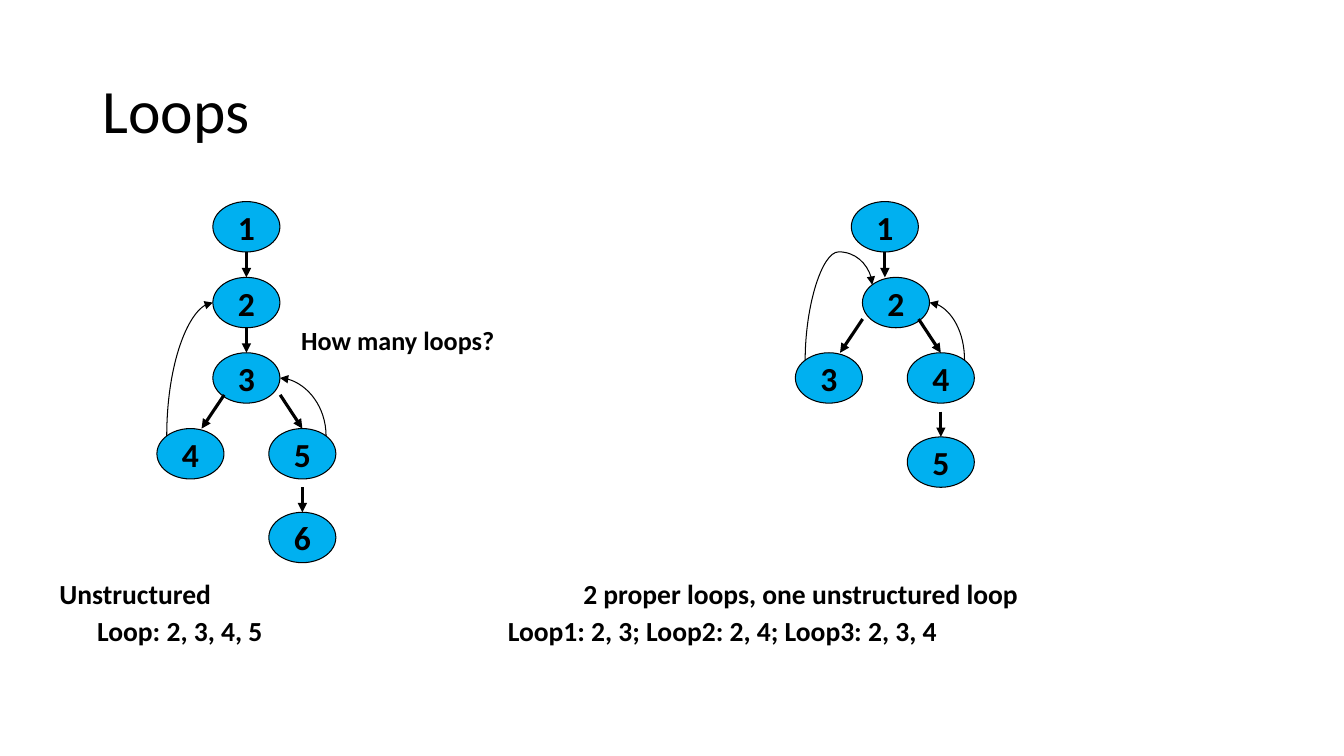
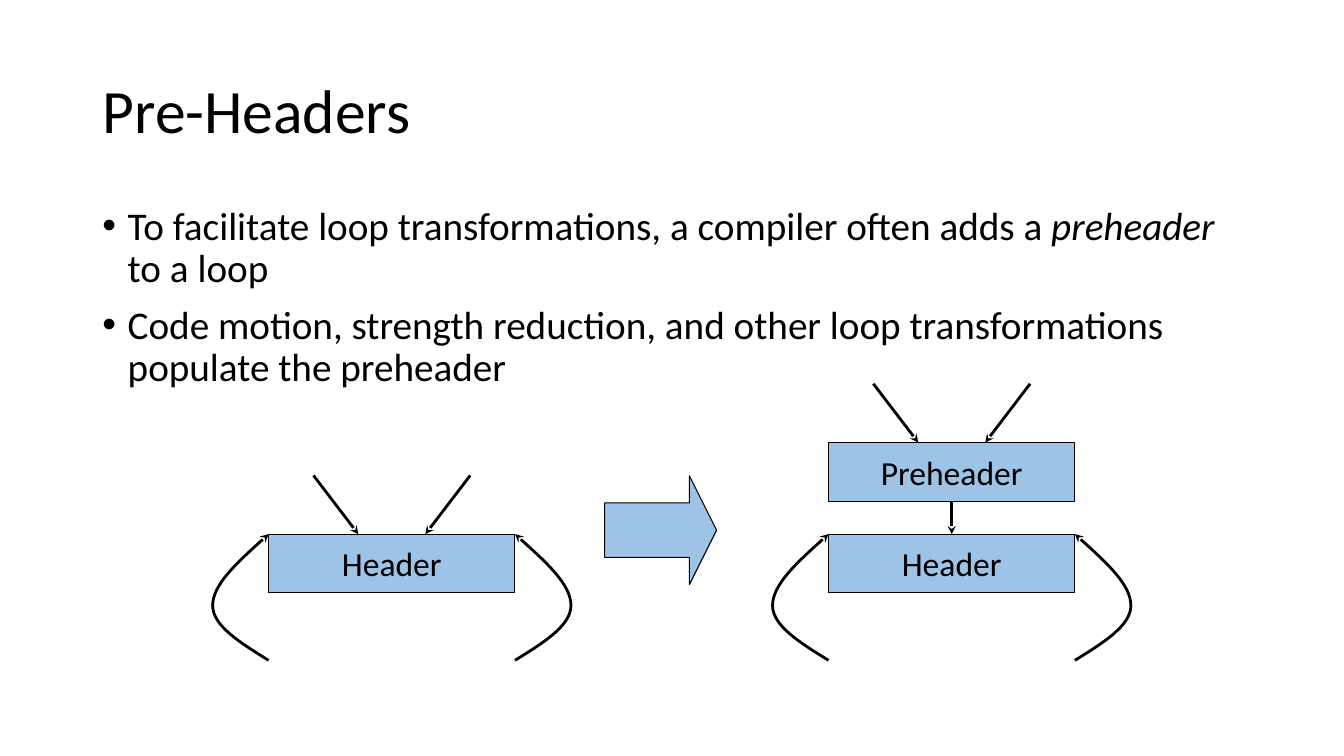
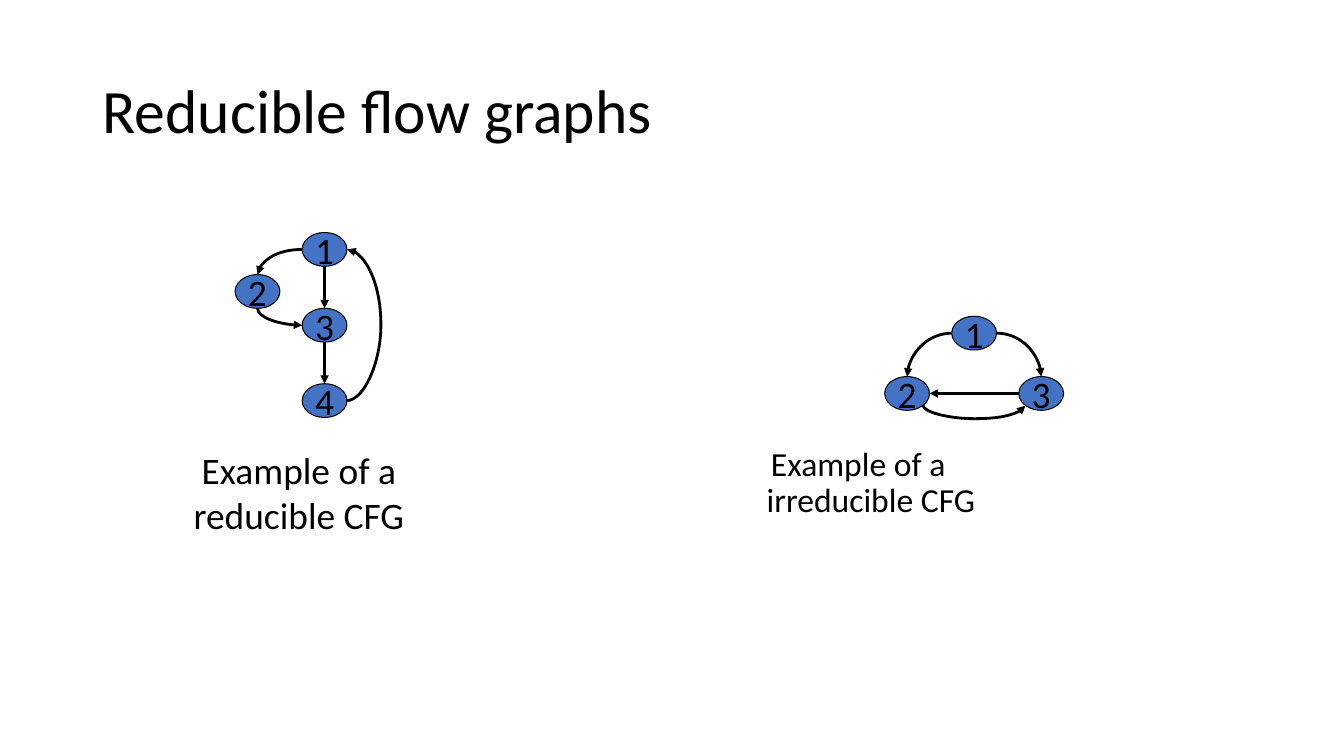
from dataclasses import dataclass
from math import cos, pi, sin

from lxml import etree
from pptx import Presentation
from pptx.dml.color import RGBColor
from pptx.enum.shapes import MSO_CONNECTOR, MSO_SHAPE
from pptx.enum.text import MSO_ANCHOR, MSO_AUTO_SIZE, PP_ALIGN
from pptx.oxml.ns import qn
from pptx.util import Cm, Pt

BLACK = RGBColor(0x00, 0x00, 0x00)
SKY = RGBColor(0x00, 0xB0, 0xF0)
ROYAL = RGBColor(0x44, 0x72, 0xC4)
PALE = RGBColor(0x9D, 0xC3, 0xE6)
FONT = "Calibri"

STRAIGHT, CURVE = MSO_CONNECTOR.STRAIGHT, MSO_CONNECTOR.CURVE
OVAL, RECTANGLE, BLOCK_ARROW = MSO_SHAPE.OVAL, MSO_SHAPE.RECTANGLE, MSO_SHAPE.RIGHT_ARROW
LEFT, CENTER = PP_ALIGN.LEFT, PP_ALIGN.CENTER
MIDDLE, TOP_ANCHOR = MSO_ANCHOR.MIDDLE, MSO_ANCHOR.TOP
NO_FIT = MSO_AUTO_SIZE.NONE

# Connection sites of an oval, counter-clockwise from the top
TOP, TOP_LEFT, SIDE_LEFT, LOW_LEFT, BOTTOM, LOW_RIGHT, SIDE_RIGHT, TOP_RIGHT = range(8)

HEADER_WIDTH, HEADER_HEIGHT = 6.21, 1.48


@dataclass
class NodeLook:
    width: float
    height: float
    fill: RGBColor
    size: float
    bold: bool


LOOP_NODE = NodeLook(1.69, 1.27, SKY, 24, True)
SMALL_NODE = NodeLook(1.13, 0.85, ROYAL, 26.7, False)


def write(frame, text, size=24, bold=False, italic_word=None, align=LEFT, spacing=None,
          before=0, margin=0, indent=0, bullet=None):
    """Add one paragraph; a newline becomes a line break."""
    para = frame.paragraphs[0]
    if para.runs:
        para = frame.add_paragraph()
        para.space_before = Pt(before)
    para.alignment = align
    if spacing:
        para.line_spacing = spacing
    props = para._p.get_or_add_pPr()
    if margin or indent:
        props.set("marL", str(Cm(margin)))
        props.set("indent", str(Cm(indent)))
    if bullet:
        etree.SubElement(props, qn("a:buFont"), typeface="Arial")
        etree.SubElement(props, qn("a:buChar"), char=bullet)
    for number, line in enumerate(text.split("\n")):
        if number:
            para.add_line_break()
        parts = line.partition(italic_word) if italic_word else (line,)
        for part in filter(None, parts):
            span = para.add_run()
            span.text = part
            span.font.name = FONT
            span.font.size = Pt(size)
            span.font.bold = bold
            span.font.italic = part == italic_word
            span.font.color.rgb = BLACK


def add_titled_page(deck, title):
    page = deck.slides.add_slide(deck.slide_layouts[5])
    holder = page.shapes.title
    holder.left, holder.top, holder.width, holder.height = Cm(2.33), Cm(1.02), Cm(29.21), Cm(3.68)
    frame = holder.text_frame
    frame.auto_size = NO_FIT
    frame.vertical_anchor = MIDDLE
    write(frame, title, size=44, spacing=0.9)
    return page


def add_text_box(page, left, top, width, height, wrap=False, inset=True):
    box = page.shapes.add_textbox(Cm(left), Cm(top), Cm(width), Cm(height))
    frame = box.text_frame
    frame.word_wrap = wrap
    frame.auto_size = NO_FIT
    frame.vertical_anchor = TOP_ANCHOR
    if not inset:
        frame.margin_left = frame.margin_right = frame.margin_top = frame.margin_bottom = 0
    return frame


def add_block(page, kind, left, top, width, height, fill, text="", size=24, bold=False):
    block = page.shapes.add_shape(kind, Cm(left), Cm(top), Cm(width), Cm(height))
    block.shadow.inherit = False
    block.fill.solid()
    block.fill.fore_color.rgb = fill
    block.line.color.rgb = BLACK
    block.line.width = Pt(0.75)
    if text:
        frame = block.text_frame
        frame.word_wrap = False
        frame.vertical_anchor = MIDDLE
        write(frame, text, size=size, bold=bold, align=CENTER)
    return block


def ink(line_shape, weight, head):
    """Black line with an arrowhead at its end and no shadow."""
    line_shape.line.color.rgb = BLACK
    line_shape.line.width = Pt(weight)
    props = line_shape.element.find(qn("p:spPr"))
    etree.SubElement(props.find(qn("a:ln")), qn("a:tailEnd"), type=head)
    if props.find(qn("a:effectLst")) is None:
        etree.SubElement(props, qn("a:effectLst"))


def add_arrow(page, left, top, start, end, weight=2.25, head="triangle"):
    """Straight arrow; start and end are offsets from left, top."""
    arrow = page.shapes.add_connector(
        STRAIGHT, Cm(left + start[0]), Cm(top + start[1]), Cm(left + end[0]), Cm(top + end[1]))
    ink(arrow, weight, head)
    return arrow


def site_point(node, site):
    angle = -pi / 2 - site * pi / 4
    return (round(node.left + node.width / 2 * (1 + cos(angle))),
            round(node.top + node.height / 2 * (1 + sin(angle))))


def glue(connector, start, start_site, end, end_site):
    props = connector.element.find(".//" + qn("p:cNvCxnSpPr"))
    for tag, node, site in (("a:stCxn", start, start_site), ("a:endCxn", end, end_site)):
        etree.SubElement(props, qn(tag), id=str(node.shape_id), idx=str(site))


def link_straight(page, start, start_site, end, end_site, weight):
    link = page.shapes.add_connector(
        STRAIGHT, *site_point(start, start_site), *site_point(end, end_site))
    ink(link, weight, "triangle")
    glue(link, start, start_site, end, end_site)


def link_curved(page, start, start_site, end, end_site, weight, bulge=0):
    """Quarter curve between two ovals, or a bow that reaches out by bulge."""
    (x1, y1), (x2, y2) = site_point(start, start_site), site_point(end, end_site)
    dx, dy = x2 - x1, y2 - y1
    if start_site in (SIDE_LEFT, SIDE_RIGHT):
        along, across = abs(dx), abs(dy)
        rotation = 180 if dx < 0 else 0
        flip_x, flip_y = False, (dy < 0) != (dx < 0)
    else:
        along, across = abs(dy), abs(dx)
        rotation = 270 if dx > 0 else 90
        flip_x, flip_y = (dy < 0) != (dx > 0), False
    along = max(along, Cm(0.01))
    left, top = round((x1 + x2 - along) / 2), round((y1 + y2 - across) / 2)
    xs, ys = [left, left + along], [top, top + across]
    link = page.shapes.add_connector(
        CURVE, xs[flip_x], ys[flip_y], xs[not flip_x], ys[not flip_y])
    link.rotation = rotation
    geometry = link.element.find(".//" + qn("a:prstGeom"))
    if bulge:
        guides = geometry.find(qn("a:avLst"))
        if guides is None:
            guides = etree.SubElement(geometry, qn("a:avLst"))
        etree.SubElement(guides, qn("a:gd"), name="adj1",
                         fmla=f"val {round(Cm(bulge) / along * 100000)}")
    else:
        geometry.set("prst", "curvedConnector2")
    ink(link, weight, "triangle")
    glue(link, start, start_site, end, end_site)


def add_nodes(page, left, top, look, places):
    """Numbered ovals; each place is the offset of an oval's top centre."""
    return {number: add_block(page, OVAL, left + x - look.width / 2, top + y, look.width,
                              look.height, look.fill, str(number), look.size, look.bold)
            for number, (x, y) in enumerate(places, 1)}


def add_loop_graph(page, left, top, places, arrows, back_edges):
    nodes = add_nodes(page, left, top, LOOP_NODE, places)
    for start, end in arrows:
        add_arrow(page, left, top, start, end)
    for start, start_site, end, end_site, bulge in back_edges:
        link_curved(page, nodes[start], start_site, nodes[end], end_site, 0.75, bulge)


def add_small_graph(page, left, top, places, straight, curved):
    nodes = add_nodes(page, left, top, SMALL_NODE, places)
    for start, start_site, end, end_site in straight:
        link_straight(page, nodes[start], start_site, nodes[end], end_site, 2)
    for start, start_site, end, end_site, bulge in curved:
        link_curved(page, nodes[start], start_site, nodes[end], end_site, 2, bulge)


def add_back_curve(page, left, top, side):
    """Two-part curve that returns to left, top; side is 1 for right, -1 for left."""
    points = [(0.71, 2.74), (1.41, 2.31), (1.41, 1.8), (1.41, 1.27), (0.71, 0.64), (0, 0)]
    builder = page.shapes.build_freeform(Cm(left), Cm(top + 3.18))
    builder.add_line_segments(
        [(Cm(left + side * x), Cm(top + y)) for x, y in points], close=False)
    curve = builder.convert_to_shape()
    outline = curve.element.find(".//" + qn("a:path"))
    segments = outline.findall(qn("a:lnTo"))
    for first in range(0, len(segments), 3):
        bend = etree.SubElement(outline, qn("a:cubicBezTo"))
        for segment in segments[first:first + 3]:
            bend.append(segment[0])
            outline.remove(segment)
    curve.shadow.inherit = False
    curve.fill.background()
    ink(curve, 2, "stealth")


def add_entry_box(page, left, top, text):
    """Labelled box with two arrows that come in from above."""
    box = add_block(page, RECTANGLE, left, top, HEADER_WIDTH, HEADER_HEIGHT, PALE, text)
    add_entries(page, left, top)
    return box


def add_entries(page, left, top):
    for outer, inner in ((1.13, 2.26), (HEADER_WIDTH - 1.13, HEADER_WIDTH - 2.26)):
        add_arrow(page, left, top, (outer, -1.48), (inner, 0), 2, "stealth")


def add_loop_header(page, left, top):
    header = add_block(page, RECTANGLE, left, top, HEADER_WIDTH, HEADER_HEIGHT, PALE, "Header")
    add_back_curve(page, left, top, -1)
    add_back_curve(page, left + HEADER_WIDTH, top, 1)
    return header


def build_loops(deck):
    page = add_titled_page(deck, "Loops")
    add_loop_graph(
        page, 6.21, 5.08,
        [(0, 0), (0, 1.91), (0, 3.81), (-1.41, 5.72), (1.41, 5.72), (1.41, 7.83)],
        [((0, 1.27), (0, 1.91)), ((0, 3.18), (0, 3.81)), ((-0.56, 4.87), (-1.13, 5.72)),
         ((0.85, 4.87), (1.41, 5.72)), ((1.41, 7.2), (1.41, 7.83))],
        [(4, TOP_LEFT, 2, SIDE_LEFT, 0), (5, TOP_RIGHT, 3, SIDE_RIGHT, 0)])
    add_loop_graph(
        page, 22.3, 5.08,
        [(0, 0), (0.28, 1.91), (-1.41, 3.81), (1.41, 3.81), (1.41, 5.93)],
        [((0, 1.27), (0, 1.91)), ((-0.56, 2.96), (-1.13, 3.81)),
         ((0.85, 2.96), (1.41, 3.81)), ((1.41, 5.29), (1.41, 5.93))],
        [(3, TOP_LEFT, 2, TOP_LEFT, 2.73), (4, TOP_RIGHT, 2, SIDE_RIGHT, 0)])
    write(add_text_box(page, 7.34, 8.05, 5.41, 1.07), "How many loops?", size=18.7, bold=True)
    captions = [
        (1.5, 8, [("Unstructured", 0), ("Loop: 2, 3, 4, 5", 0.95)]),
        (12.8, 16, [("2 proper loops, one unstructured loop", 1.9),
                    ("Loop1: 2, 3; Loop2: 2, 4; Loop3: 2, 3, 4", 0)]),
    ]
    for left, width, lines in captions:
        frame = add_text_box(page, left, 14.76, width, 2, wrap=True, inset=False)
        for text, margin in lines:
            write(frame, text, size=19.7, bold=True, spacing=0.7, before=10, margin=margin)


def build_preheaders(deck):
    page = add_titled_page(deck, "Pre-Headers")
    frame = add_text_box(page, 2.33, 5.08, 29.21, 4.9, wrap=True)
    for text, italic_word in (
            ("To facilitate loop transformations, a compiler often adds a preheader to a loop",
             "preheader"),
            ("Code motion, strength reduction, and other loop transformations "
             "populate the preheader", None)):
        write(frame, text, size=28, italic_word=italic_word, spacing=0.9, before=10,
              margin=0.64, indent=-0.64, bullet="•")
    before_left, after_left, header_top = 6.77, 20.88, 13.46
    add_loop_header(page, before_left, header_top)
    add_entries(page, before_left, header_top)
    header = add_loop_header(page, after_left, header_top)
    preheader = add_entry_box(page, after_left, 11.15, "Preheader")
    fall_through = add_arrow(page, after_left, header_top,
                             (HEADER_WIDTH / 2, -0.85), (HEADER_WIDTH / 2, 0), 2, "stealth")
    fall_through.begin_connect(preheader, 2)
    fall_through.end_connect(header, 0)
    becomes = add_block(page, BLOCK_ARROW, 15.24, 11.99, 2.82, 2.74, PALE)
    becomes.adjustments[0] = 0.5
    becomes.adjustments[1] = 0.25


def build_reducible(deck):
    page = add_titled_page(deck, "Reducible flow graphs")
    add_small_graph(
        page, 8.18, 5.86, [(0, 0), (-1.69, 1.06), (0, 1.91), (0, 3.81)],
        [(1, BOTTOM, 3, TOP), (3, BOTTOM, 4, TOP)],
        [(1, SIDE_LEFT, 2, TOP, 0), (2, BOTTOM, 3, SIDE_LEFT, 0),
         (4, SIDE_RIGHT, 1, SIDE_RIGHT, 0.86)])
    add_small_graph(
        page, 24.55, 7.97, [(0, 0), (-1.69, 1.52), (1.69, 1.52)],
        [(3, SIDE_LEFT, 2, SIDE_RIGHT)],
        [(1, SIDE_RIGHT, 3, TOP, 0), (1, SIDE_LEFT, 2, TOP, 0),
         (2, LOW_RIGHT, 3, LOW_LEFT, 0.34)])
    write(add_text_box(page, 4.6, 11.15, 5.87, 2.54), "Example of a\nreducible CFG",
          size=26.7, align=CENTER)
    write(add_text_box(page, 17.12, 11.15, 7.75, 2.11), "Example of a\nirreducible CFG",
          size=24, align=CENTER, spacing=0.9, margin=1.91, indent=-0.64)


def main():
    deck = Presentation()
    deck.slide_width, deck.slide_height = Cm(33.87), Cm(19.05)
    for build in (build_loops, build_preheaders, build_reducible):
        build(deck)
    deck.save("out.pptx")


if __name__ == "__main__":
    main()
